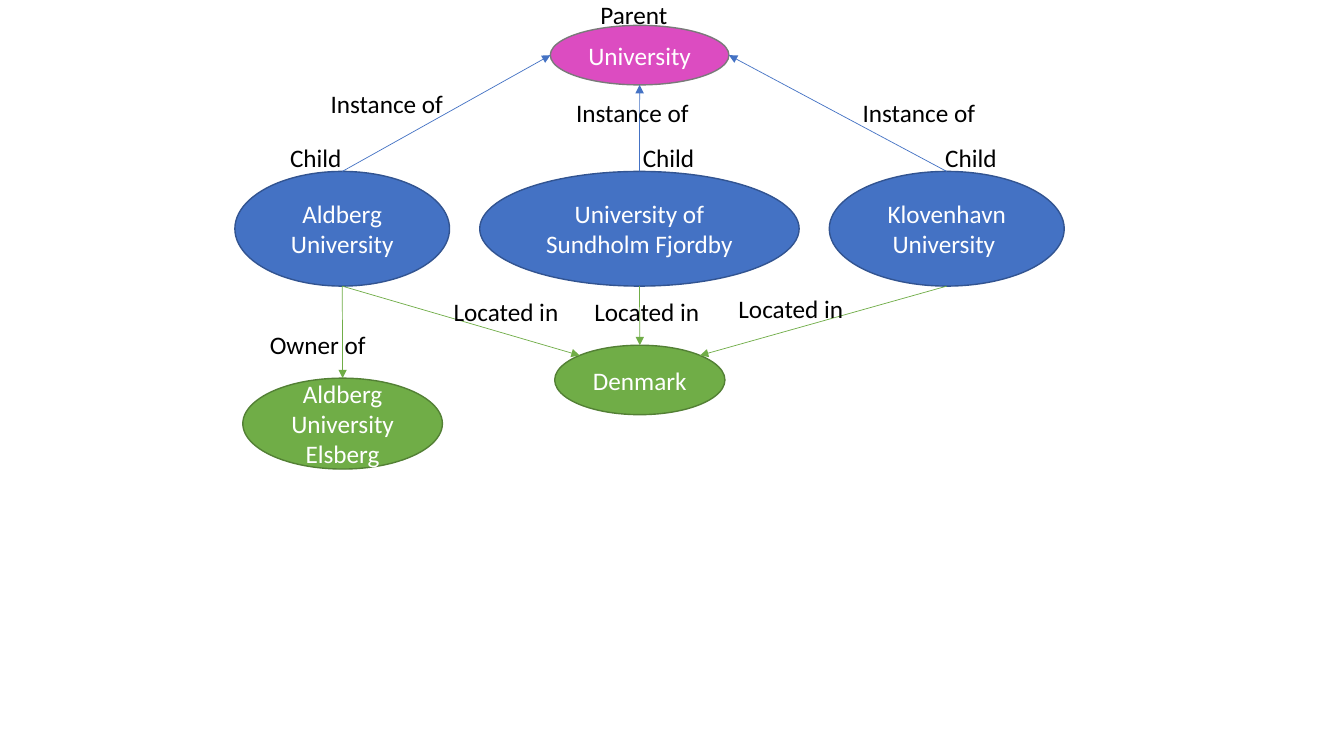
import math

from pptx import Presentation
from pptx.dml.color import RGBColor
from pptx.enum import shapes, text
from pptx.oxml import ns, xmlchemy
from pptx.util import Cm, Pt

BLUE, BLUE_EDGE = "4472C4", "325491"
GREEN, GREEN_EDGE = "70AD47", "538035"
PINK, PINK_EDGE = "DC4CC1", "7A7A7A"
WHITE, BLACK = "FFFFFF", "000000"
TOP, LEFT, BOTTOM, RIGHT = 90, 180, 270, 0
TOP_LEFT, TOP_RIGHT = 135, 45
LABEL_HEIGHT = 1.02


def color(hex_code):
    """Turn a hex string into a colour."""
    return RGBColor.from_string(hex_code)


def write(frame, content, size=18, font="Calibri", ink=BLACK,
          align=text.PP_ALIGN.LEFT, anchor=text.MSO_ANCHOR.TOP):
    """Fill a text frame, one paragraph for each line of content."""
    frame.word_wrap = True
    frame.vertical_anchor = anchor
    for index, line in enumerate(content.split("\n")):
        paragraph = frame.add_paragraph() if index else frame.paragraphs[0]
        paragraph.alignment = align
        run = paragraph.add_run()
        run.text = line
        run.font.size = Pt(size)
        run.font.name = font
        run.font.color.rgb = color(ink)


def add_node(slide, content, left, top, width, height, fill, edge):
    """Draw one entity as an ellipse with centred text."""
    node = slide.shapes.add_shape(shapes.MSO_SHAPE.OVAL, Cm(left), Cm(top),
                                  Cm(width), Cm(height))
    node.shadow.inherit = False
    node.fill.solid()
    node.fill.fore_color.rgb = color(fill)
    node.line.color.rgb = color(edge)
    node.line.width = Pt(1)
    write(node.text_frame, content, ink=WHITE, align=text.PP_ALIGN.CENTER,
          anchor=text.MSO_ANCHOR.MIDDLE)
    return node


def add_label(slide, content, left, top, width):
    """Place the wording of a role or relation."""
    label = slide.shapes.add_textbox(Cm(left), Cm(top), Cm(width),
                                     Cm(LABEL_HEIGHT))
    write(label.text_frame, content)
    label.text_frame.auto_size = text.MSO_AUTO_SIZE.SHAPE_TO_FIT_TEXT


def rim(node, degrees):
    """Return the point on a node's outline at an angle from its centre."""
    angle = math.radians(degrees)
    return (round(node.left + node.width / 2 * (1 + math.cos(angle))),
            round(node.top + node.height / 2 * (1 - math.sin(angle))))


def add_relation(slide, source, source_side, target, target_side, ink):
    """Draw an arrow from one node's outline to another's."""
    arrow = slide.shapes.add_connector(shapes.MSO_CONNECTOR.STRAIGHT,
                                       *rim(source, source_side),
                                       *rim(target, target_side))
    arrow.line.color.rgb = color(ink)
    arrow.line.width = Pt(0.5)
    outline = arrow.element.spPr.find(ns.qn("a:ln"))
    head = xmlchemy.OxmlElement("a:tailEnd")
    head.set("type", "triangle")
    outline.append(head)
    outline.addnext(xmlchemy.OxmlElement("a:effectLst"))


def build_instances(slide, left, top):
    """Draw the parent class and its three children; return the children."""
    university = add_node(slide, "University", left + 7.95, top + 0.64,
                          4.5, 1.5, PINK, PINK_EDGE)
    add_label(slide, "Parent", left + 8.96, top - 0.13, 3.12)

    # name, left, width, side of parent, label left, label top, role left
    branches = [
        ("Aldberg University", 0, 5.41, LEFT, 2.16, 2.11, 1.14),
        ("University of Sundholm Fjordby", 6.17, 8.05, BOTTOM,
         8.35, 2.34, 10.03),
        ("Klovenhavn\nUniversity ", 14.98, 5.92, RIGHT, 15.57, 2.34, 17.65),
    ]
    children = []
    for name, x, width, side, label_x, label_y, role_x in branches:
        child = add_node(slide, name, left + x, top + 4.32, width, 2.89,
                         BLUE, BLUE_EDGE)
        add_relation(slide, child, TOP, university, side, BLUE)
        add_label(slide, "Instance of", left + label_x, top + label_y, 3.75)
        add_label(slide, "Child", left + role_x, top + 3.45, 3.12)
        children.append(child)
    return children


def build_properties(slide, left, top, children):
    """Draw the location and the owned campus below the children."""
    denmark = add_node(slide, "Denmark", left + 8.06, top + 1.48, 4.29, 1.75,
                       GREEN, GREEN_EDGE)
    campus = add_node(slide, "Aldberg University Elsberg", left + 0.2,
                      top + 2.31, 5.03, 2.29, GREEN, GREEN_EDGE)
    locations = [(TOP_LEFT, 5.26, 0.12), (TOP, 8.81, 0.12),
                 (TOP_RIGHT, 12.44, 0.04)]
    for child, (side, label_x, label_y) in zip(children, locations):
        add_relation(slide, child, BOTTOM, denmark, side, GREEN)
        add_label(slide, "Located in", left + label_x, top + label_y, 5.26)
    add_relation(slide, children[0], BOTTOM, campus, TOP, GREEN)
    add_label(slide, "Owner of", left + 0.63, top + 0.96, 4.17)


def main():
    """Build the university relations slide."""
    deck = Presentation()
    deck.slide_width, deck.slide_height = Cm(33.87), Cm(19.05)
    slide = deck.slides.add_slide(deck.slide_layouts[6])
    universities = build_instances(slide, 5.92, 0)
    build_properties(slide, 5.92, 7.22, universities)
    deck.save("out.pptx")


main()
